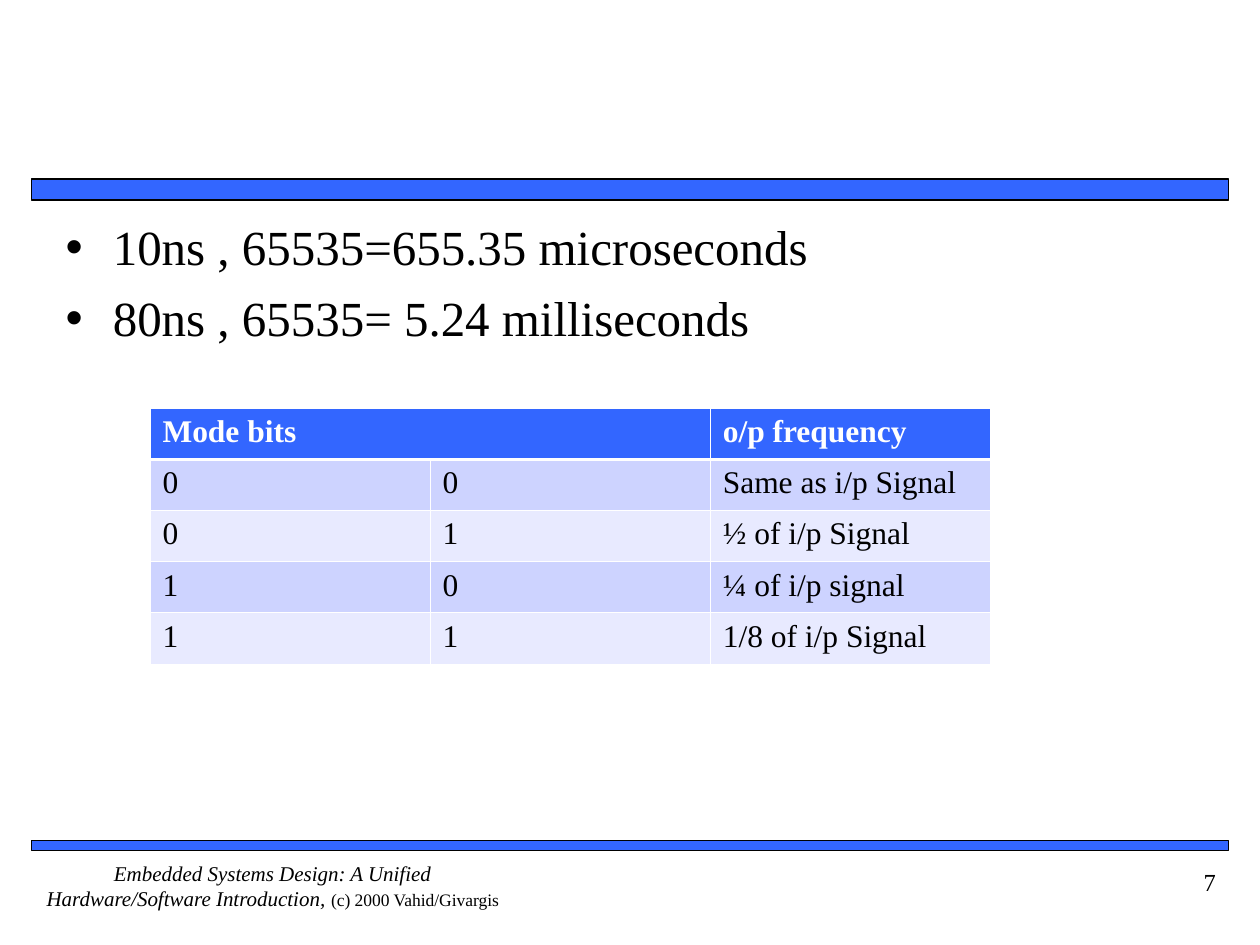
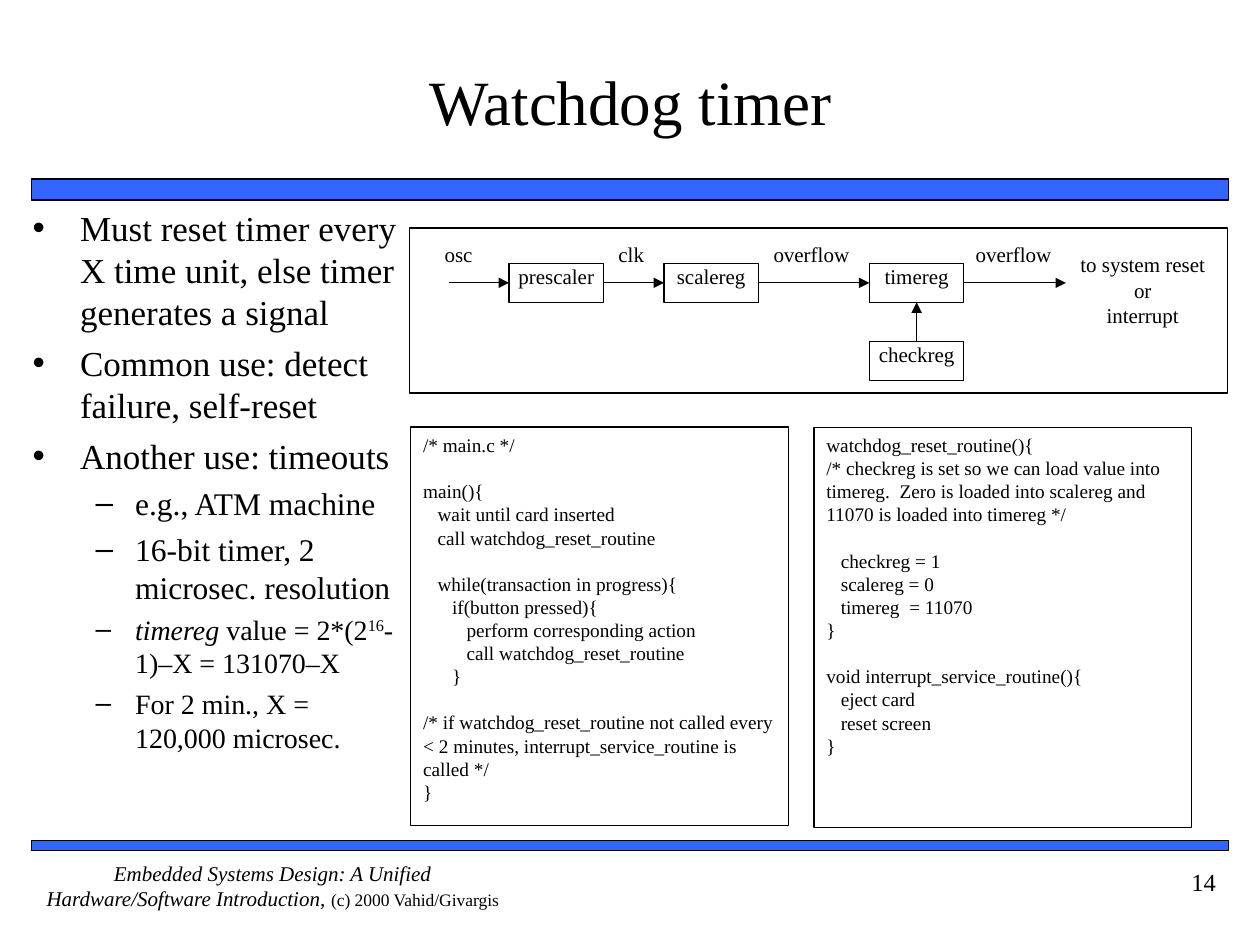
from dataclasses import dataclass

from lxml import etree
from pptx import Presentation
from pptx.dml.color import RGBColor
from pptx.enum import shapes, text
from pptx.oxml import ns
from pptx.util import Inches, Pt


@dataclass(frozen=True)
class Theme:
    font: str = "Times New Roman"
    black: str = "000000"
    white: str = "FFFFFF"
    blue: str = "3366FF"
    bands: tuple = ("CDD3FF", "E8EAFF")
    title: float = 36
    table: float = 18
    page: float = 14
    label: float = 12
    credit: float = 10
    code: float = 11
    thin: float = 0.75


THEME = Theme()
LEFT, CENTER, RIGHT = text.PP_ALIGN.LEFT, text.PP_ALIGN.CENTER, text.PP_ALIGN.RIGHT
BULLETS = [
    (0, 28, 7, [("10ns , 65535=655.35 microseconds", "")]),
    (0, 28, 7, [("80ns , 65535= 5.24 milliseconds", "")]),
]
MODES = [
    ("Mode bits", "", "o/p frequency"),
    ("0", "0", "Same as i/p Signal"),
    ("0", "1", "½ of i/p Signal"),
    ("1", "0", "¼ of i/p signal"),
    ("1", "1", "1/8 of i/p Signal"),
]
USES = [
    (0, 20, 5, [("Must reset timer every X time unit, else timer generates a signal", "")]),
    (0, 20, 5, [("Common use: detect failure, self-reset", "")]),
    (0, 20, 5, [("Another use: timeouts", "")]),
    (1, 18, 4.5, [("e.g., ATM machine", "")]),
    (1, 18, 4.5, [("16-bit timer, 2 microsec. resolution", "")]),
    (1, 16, 4, [("timereg", "italic"), (" value = 2*(2", ""), ("16", "super"),
                ("-1)–X = 131070–X", "")]),
    (1, 16, 4, [("For 2 min., X = 120,000 microsec.", "")]),
]
MAIN = """/* main.c */

main(){
   wait until card inserted
   call watchdog_reset_routine

   while(transaction in progress){
      if(button pressed){
         perform corresponding action
         call watchdog_reset_routine
      }

/* if watchdog_reset_routine not called every < 2 minutes, interrupt_service_routine is called */
}"""
RESET = """watchdog_reset_routine(){
/* checkreg is set so we can load value into timereg.  Zero is loaded into scalereg and 11070 is loaded into timereg */

   checkreg = 1
   scalereg = 0
   timereg  = 11070
}

void interrupt_service_routine(){
   eject card
   reset screen
}"""


def color(code):
    return RGBColor.from_string(code)


def inches(box):
    return [Inches(v) for v in box]


def place(shape, box):
    shape.left, shape.top, shape.width, shape.height = inches(box)


def add_run(par, words, size, style="", tint=THEME.black):
    run = par.add_run()
    run.text = words
    font = run.font
    font.name, font.size, font.color.rgb = THEME.font, Pt(size), color(tint)
    font.bold, font.italic = style == "bold", style == "italic"
    if style == "super":
        font._element.set("baseline", "30000")


def set_frame(shape, pad_x=0, pad_y=0, anchor=text.MSO_ANCHOR.TOP):
    frame = shape.text_frame
    frame.word_wrap = True
    frame.auto_size = text.MSO_AUTO_SIZE.NONE
    frame.vertical_anchor = anchor
    frame.margin_left = frame.margin_right = Inches(pad_x)
    frame.margin_top = frame.margin_bottom = Inches(pad_y)
    return frame


def next_par(frame, index, align=None):
    par = frame.add_paragraph() if index else frame.paragraphs[0]
    par.alignment = align
    return par


def add_rect(slide, box, fill=None, width=THEME.thin):
    rect = slide.shapes.add_shape(shapes.MSO_SHAPE.RECTANGLE, *inches(box))
    rect.shadow.inherit = False
    if fill:
        rect.fill.solid()
        rect.fill.fore_color.rgb = color(fill)
    else:
        rect.fill.background()
    rect.line.color.rgb = color(THEME.black)
    rect.line.width = Pt(width)
    return rect


def add_lines(shape, lines, size=THEME.label, align=CENTER):
    frame = set_frame(shape)
    for i, line in enumerate(lines):
        add_run(next_par(frame, i, align), line, size)


def add_label(slide, box, *lines):
    add_lines(slide.shapes.add_textbox(*inches(box)), lines)


def add_arrow(slide, start, end):
    """Join two ends, each an (x, y) point or a (shape, side) pair."""
    line = slide.shapes.add_connector(shapes.MSO_CONNECTOR.STRAIGHT, 0, 0, 0, 0)
    if isinstance(start[0], float):
        line.begin_x, line.begin_y = inches(start)
    else:
        line.begin_connect(*start)
    if isinstance(end[0], float):
        line.end_x, line.end_y = inches(end)
    else:
        line.end_connect(*end)
    line.line.color.rgb = color(THEME.black)
    line.line.width = Pt(THEME.thin)
    props = line._element.spPr
    etree.SubElement(props.find(ns.qn("a:ln")), ns.qn("a:tailEnd"), type="triangle")
    etree.SubElement(props, ns.qn("a:effectLst"))


def add_frame(slide, page):
    """Draw the two bands, the credit line and the page number."""
    for top, height in ((1.42, 0.17), (6.67, 0.08)):
        add_rect(slide, (0.25, top, 9.5, height), THEME.blue, 1)
    credit = slide.shapes.add_textbox(*inches((0.25, 6.83, 3.83, 0.5)))
    par = next_par(set_frame(credit), 0, CENTER)
    add_run(par, "Embedded Systems Design: A Unified Hardware/Software Introduction, ",
            THEME.label, "italic")
    add_run(par, "(c) 2000 Vahid/Givargis", THEME.credit)
    number = slide.shapes.add_textbox(*inches((8.75, 6.83, 1, 0.5)))
    add_run(next_par(set_frame(number, 0.1, 0.05), 0, RIGHT), page, THEME.page)


def fill_title(slide, words):
    title = slide.shapes.title
    if not words:
        title._element.getparent().remove(title._element)
        return
    place(title, (0.42, 0.17, 9.17, 1.25))
    frame = set_frame(title, 0, 0.05, text.MSO_ANCHOR.MIDDLE)
    add_run(next_par(frame, 0, CENTER), words, THEME.title)


def fill_list(slide, box, items):
    body = slide.placeholders[1]
    place(body, box)
    frame = set_frame(body, 0.1, 0.05)
    for i, (level, size, gap, runs) in enumerate(items):
        par = next_par(frame, i)
        par.level = level
        par.space_before = Pt(gap if i else 0)
        for words, style in runs:
            add_run(par, words, size, style)


def edge_cell(cell, row):
    """Give a cell white borders, heavier under the header row."""
    props = cell._tc.get_or_add_tcPr()
    heavy = {0: "lnB", 1: "lnT"}.get(row)
    for side in ("lnL", "lnR", "lnT", "lnB"):
        width = Pt(1.47 if side == heavy else 0.45)
        line = etree.SubElement(props, ns.qn("a:" + side), w=str(width))
        fill = etree.SubElement(line, ns.qn("a:solidFill"))
        etree.SubElement(fill, ns.qn("a:srgbClr"), val=THEME.white)


def add_modes(slide, box, rows):
    grid = slide.shapes.add_table(len(rows), len(rows[0]), *inches(box)).table
    grid.cell(0, 0).merge(grid.cell(0, 1))
    for r, row in enumerate(rows):
        for c, words in enumerate(row):
            cell = grid.cell(r, c)
            edge_cell(cell, r)
            cell.fill.solid()
            cell.fill.fore_color.rgb = color(THEME.bands[(r - 1) % 2] if r else THEME.blue)
            if words:
                style, tint = ("", THEME.black) if r else ("bold", THEME.white)
                add_run(cell.text_frame.paragraphs[0], words, THEME.table, style, tint)


def draw_timer(slide, box):
    """Draw the chain of registers inside its outlined panel."""
    x, y = box[:2]
    add_rect(slide, box)

    def register(name, dx, dy=0.28):
        rect = add_rect(slide, (x + dx, y + dy, 0.75, 0.31))
        add_lines(rect, [name])
        return rect

    scaler = register("prescaler", 0.79)
    scale = register("scalereg", 2.02)
    timer = register("timereg", 3.65)
    check = register("checkreg", 3.65, 0.9)
    mid = y + 0.28 + 0.31 / 2
    add_arrow(slide, (x + 0.31, mid), (scaler, 1))
    add_arrow(slide, (scaler, 3), (scale, 1))
    add_arrow(slide, (scale, 3), (timer, 1))
    add_arrow(slide, (timer, 3), (x + 5.21, mid))
    add_arrow(slide, (check, 0), (timer, 2))
    for name, dx, width in (("osc", 0.24, 0.3), ("clk", 1.61, 0.3),
                            ("overflow", 2.82, 0.74), ("overflow", 4.41, 0.77)):
        add_label(slide, (x + dx, y + 0.11, width, 0.31), name)
    add_label(slide, (x + 5.3, y + 0.19, 1.04, 1.1), "to system reset", "or", "interrupt")


def add_code(slide, box, code):
    """Write code in a box; an empty line becomes space before the next one."""
    frame = set_frame(add_rect(slide, box), 0.1, 0.05)
    gap = index = 0
    for line in code.splitlines():
        if not line:
            gap = THEME.code * 1.2
            continue
        par = next_par(frame, index, LEFT)
        par.space_before = Pt(gap)
        add_run(par, line, THEME.code)
        gap, index = 0, index + 1


def add_page(deck, page, title=""):
    slide = deck.slides.add_slide(deck.slide_layouts[1])
    add_frame(slide, page)
    fill_title(slide, title)
    return slide


def build_range(deck):
    slide = add_page(deck, "7")
    fill_list(slide, (0.42, 1.67, 9.17, 4.92), BULLETS)
    add_modes(slide, (1.19, 3.24, 6.67, 2.03), MODES)


def build_watchdog(deck):
    slide = add_page(deck, "14", "Watchdog timer")
    fill_list(slide, (0.16, 1.59, 3.15, 4.98), USES)
    draw_timer(slide, (3.25, 1.81, 6.49, 1.31))
    for left, height, code in ((3.26, 3.16, MAIN), (6.46, 3.18, RESET)):
        add_code(slide, (left, 3.39, 3, height), code)


def main():
    deck = Presentation()
    deck.slide_width, deck.slide_height = Inches(10), Inches(7.5)
    build_range(deck)
    build_watchdog(deck)
    deck.save("out.pptx")


if __name__ == "__main__":
    main()
